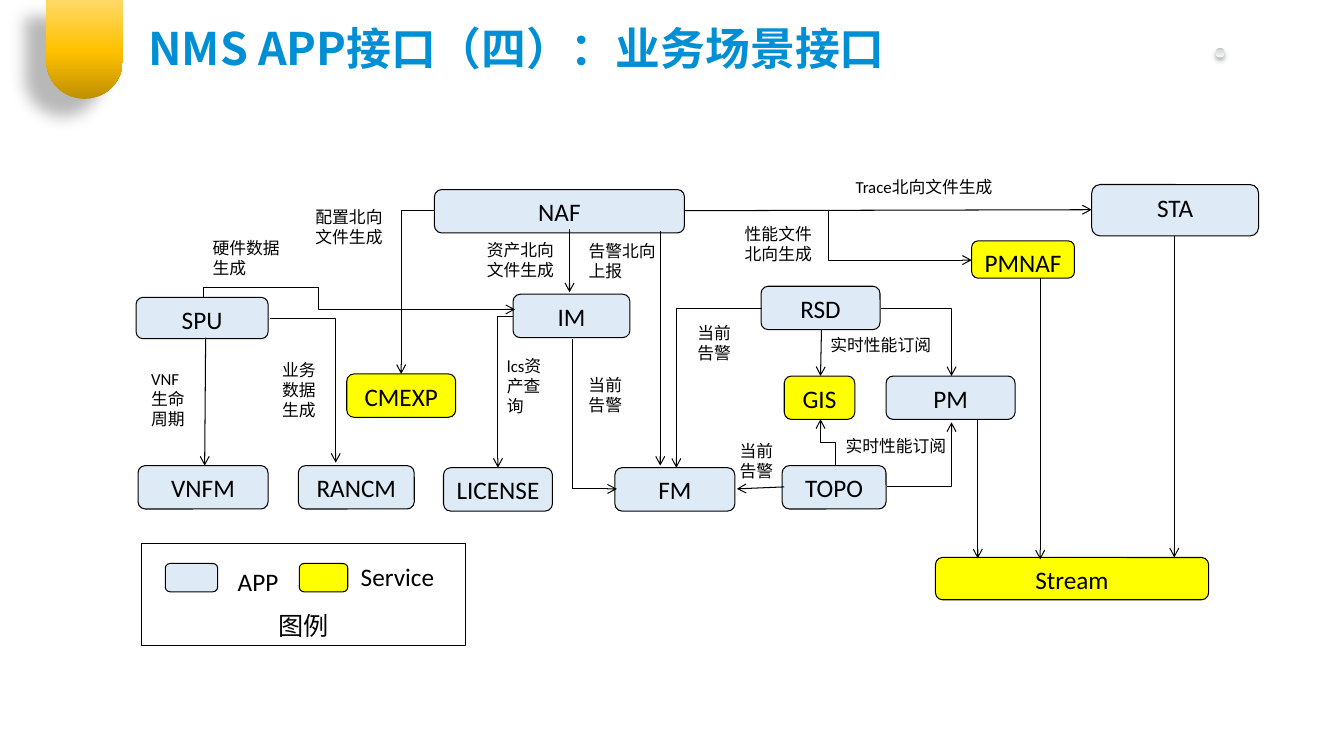
from pptx import Presentation
from pptx.dml.color import RGBColor
from pptx.enum.shapes import MSO_CONNECTOR, MSO_SHAPE
from pptx.enum.text import MSO_ANCHOR, PP_ALIGN
from pptx.oxml import parse_xml
from pptx.oxml.ns import qn
from pptx.util import Pt
from lxml import etree

COLORS = {"title": "008FD4", "ink": "000000", "paper": "FFFFFF",
          "app": "DEEBF7", "service": "FFFF00"}
TAB_STOPS = [(0, "BF9000"), (48, "FFC000"), (100, "FFD966")]
DOT_STOPS = [(0, "F7FAFD"), (83, "D9D9D9"), (100, "BFBFBF")]
LATIN, CJK = "Calibri", "Noto Sans CJK SC"
A_NS = "http://schemas.openxmlformats.org/drawingml/2006/main"

# name: left, top, width, height, kind
NODES = {
    "RSD": (447.6, 84.5, 85, 31, "app"),
    "STA": (683.8, 11.8, 119.2, 36.7, "app"),
    "FM": (343.2, 214.1, 85.7, 31, "app"),
    "IM": (270.5, 90.2, 83.5, 31, "app"),
    "RANCM": (117.1, 212.6, 82.8, 31, "app"),
    "LICENSE": (220.8, 214.1, 77.8, 31, "app"),
    "SPU": (1.2, 92.4, 94.3, 29.5, "app"),
    "TOPO": (462.7, 212.6, 74.2, 31, "app"),
    "NAF": (214.3, 15.4, 178.6, 31, "app"),
    "VNFM": (2.6, 212.6, 92.9, 31, "app"),
    "PM": (536.9, 148.6, 92.2, 31, "app"),
    "PMNAF": (598.1, 52.1, 73.4, 26.6, "service"),
    "GIS": (464.2, 148.6, 50.4, 31, "service"),
    "Stream": (572.2, 278.2, 195.1, 30.2, "service"),
    "CMEXP": (151.7, 147.1, 77.8, 31, "service"),
}
# from x, from y, to x, to y
STRAIGHT = [
    (375.6, 44.9, 375.6, 212.6), (310.8, 43.4, 310.8, 88.8),
    (50.9, 121.2, 50.2, 212.6), (392.9, 30.5, 683.8, 29.8),
    (464.2, 227.8, 430.3, 229.2), (490.8, 115.4, 490.1, 148.6),
    (647, 78.7, 647, 279.6), (602.4, 180.2, 602.4, 278.9),
    (742.8, 48.5, 742.8, 278.2),
]
# ends, preset, leaves vertically, adjustments
ELBOWS = [
    ((270.5, 106.1, 259.7, 214.1), "bentConnector2", False, ()),
    ((214.3, 30.5, 190.6, 147.1), "bentConnector2", False, ()),
    ((97, 107.5, 143.8, 210.5), "bentConnector2", False, ()),
    ((533.3, 100.3, 583.7, 148.6), "bentConnector2", False, ()),
    ((448.3, 100.3, 387.1, 214.1), "bentConnector2", False, ()),
    ((537.6, 227.8, 583.7, 181.7), "bentConnector2", False, ()),
    ((392.9, 30.5, 598.1, 65.8), "bentConnector3", False, (0.5,)),
    ((313, 121.9, 344.6, 229.2), "bentConnector2", True, ()),
    ((500.9, 212.6, 490.1, 179.5), "bentConnector3", True, (0.5,)),
    ((49.4, 92.4, 271.9, 101), "bentConnector4", True, (-0.79, 0.37)),
]
# left, top, width, line count, paragraphs
LABELS = [
    (500.9, 187.4, 93, 1, ["实时性能订阅"]),
    (395, 106.8, 44, 2, ["当前告警"]),
    (508.1, 2.4, 129, 1, ["Trace北向文件生成"]),
    (490.1, 115.4, 91, 1, ["实时性能订阅"]),
    (425.3, 191, 47, 2, ["当前告警"]),
    (4.8, 139.9, 40, 3, ["VNF生命周期"]),
    (98.4, 133.4, 42, 3, ["业务数据", "生成"]),
    (122.2, 24, 68, 2, ["配置北向", "文件生成"]),
    (259, 130.6, 40, 3, ["lcs资产查询"]),
    (317.3, 144.2, 42, 2, ["当前告警"]),
    (244.6, 47.8, 68, 2, ["资产北向", "文件生成"]),
    (317.3, 48.5, 68, 2, ["告警北向", "上报"]),
    (428.9, 36.2, 72, 2, ["性能文件北向生成"]),
    (48.7, 46.3, 68, 2, ["硬件数据", "生成"]),
]


def rgb(name):
    return RGBColor.from_string(COLORS[name])


def write(shape, lines, size, align=PP_ALIGN.LEFT, anchor=MSO_ANCHOR.TOP,
          color="ink", latin=LATIN, bold=False):
    tf = shape.text_frame
    tf.word_wrap, tf.vertical_anchor = True, anchor
    for i, line in enumerate(lines):
        p = tf.add_paragraph() if i else tf.paragraphs[0]
        p.alignment = align
        r = p.add_run()
        r.text = line
        for key, value in {"size": Pt(size), "name": latin, "bold": bold}.items():
            setattr(r.font, key, value)
        r.font.color.rgb = rgb(color)
        etree.SubElement(r.font._element, qn("a:ea"), typeface=CJK)


def add_box(shapes, preset, box, fill):
    sp = shapes.add_shape(preset, *map(Pt, box))
    sp.shadow.inherit = False
    sp.fill.solid()
    sp.fill.fore_color.rgb = rgb(fill)
    sp.line.color.rgb, sp.line.width = rgb("ink"), Pt(0.75)
    return sp


def add_text(shapes, box, lines, size):
    write(shapes.add_textbox(*map(Pt, box)), lines, size)


def add_ornament(shapes, preset, box, stops, angle, shadow):
    """Add an unlined gradient shape; shadow is alpha, blur, distance, direction."""
    sp = shapes.add_shape(preset, *map(Pt, box))
    sp.line.fill.background()
    sp.shadow.inherit = False
    sp.fill.gradient()
    spPr = sp._element.spPr
    gs = "".join(f'<a:gs pos="{pos * 1000}"><a:srgbClr val="{c}"/></a:gs>'
                 for pos, c in stops)
    spPr.replace(spPr.find(qn("a:gradFill")), parse_xml(
        f'<a:gradFill xmlns:a="{A_NS}" rotWithShape="1"><a:gsLst>{gs}</a:gsLst>'
        f'<a:lin ang="{angle * 60000}" scaled="0"/></a:gradFill>'))
    alpha, blur, dist, direction = shadow
    spPr.find(qn("a:effectLst")).append(parse_xml(
        f'<a:outerShdw xmlns:a="{A_NS}" blurRad="{Pt(blur)}" dist="{Pt(dist)}" '
        f'dir="{direction * 60000}" algn="ctr" rotWithShape="0"><a:srgbClr val="000000">'
        f'<a:alpha val="{alpha * 1000}"/></a:srgbClr></a:outerShdw>'))
    return sp


def add_arrow(shapes, ends, kind=MSO_CONNECTOR.STRAIGHT):
    c = shapes.add_connector(kind, *map(Pt, ends))
    c.line.color.rgb, c.line.width = rgb("ink"), Pt(0.75)
    etree.SubElement(c.line._get_or_add_ln(), qn("a:tailEnd"), type="arrow")
    etree.SubElement(c._element.spPr, qn("a:effectLst"))
    return c


def add_elbow(shapes, ends, preset, vertical, adjustments):
    """Add a bent arrow; one that leaves vertically is a turned horizontal one."""
    x1, y1, x2, y2 = ends
    dx, dy = x2 - x1, y2 - y1
    if vertical:
        cx, cy = (x1 + x2) / 2, (y1 + y2) / 2
        half_w = abs(dy) / 2
        half_h = -dx / 2 if dy > 0 else dx / 2
        ends = (cx - half_w, cy - half_h, cx + half_w, cy + half_h)
    c = add_arrow(shapes, ends, MSO_CONNECTOR.ELBOW)
    spPr = c._element.spPr
    if vertical:
        spPr.find(qn("a:xfrm")).set("rot", str((90 if dy > 0 else 270) * 60000))
    geom = spPr.find(qn("a:prstGeom"))
    geom.set("prst", preset)
    av = geom.find(qn("a:avLst"))
    for i, value in enumerate(adjustments, 1):
        etree.SubElement(av, qn("a:gd"), name=f"adj{i}",
                         fmla=f"val {round(value * 100000)}")


def add_header(s, left, top, width, height):
    title = s.shapes.title
    box = {"left": left + 65.6, "top": top + 6.5, "width": width - 65.6, "height": height}
    for key, value in box.items():
        setattr(title, key, Pt(value))
    write(title, ["NMS APP接口（四）：业务场景接口"], 32, anchor=MSO_ANCHOR.MIDDLE,
          color="title", latin=CJK, bold=True)
    dot = add_ornament(s.shapes, MSO_SHAPE.OVAL, (left + width, top + 34.6, 6.5, 6.5),
                       DOT_STOPS, 90, (32, 3.5, 2.2, 90))
    dot.rotation = 180
    tab = add_ornament(s.shapes, MSO_SHAPE.ROUND_2_SAME_RECTANGLE,
                       (left, top, 54.7, 70.6), TAB_STOPS, 270, (28, 11.8, 19.7, 141))
    tab.adjustments[0], tab.adjustments[1] = 0, 0.5


def add_diagram(s, left, top):
    def shift(ends):
        return [v + (top if i % 2 else left) for i, v in enumerate(ends)]

    for name, (x, y, w, h, kind) in NODES.items():
        node = add_box(s.shapes, MSO_SHAPE.ROUNDED_RECTANGLE,
                       (left + x, top + y, w, h), kind)
        write(node, [name], 18, PP_ALIGN.CENTER)
    for ends in STRAIGHT:
        add_arrow(s.shapes, shift(ends))
    for ends, *bend in ELBOWS:
        add_elbow(s.shapes, shift(ends), *bend)
    for x, y, w, count, lines in LABELS:
        add_text(s.shapes, (left + x, top + y, w, 7.2 + 14.4 * count), lines, 12)


def add_legend(s, left, top, width, height):
    shapes = s.shapes.add_group_shape().shapes
    frame = add_box(shapes, MSO_SHAPE.RECTANGLE, (left, top, width, height), "paper")
    write(frame, ["图例"], 18, PP_ALIGN.CENTER, MSO_ANCHOR.BOTTOM)
    entries = [("app", "APP", 17.3, 37.4, 61.9, 13, 51),
               ("service", "Service", 113, 34.6, 149.8, 9.4, 80)]
    for kind, text, x, w, text_x, text_y, text_w in entries:
        add_box(shapes, MSO_SHAPE.ROUNDED_RECTANGLE,
                (left + x, top + 14.4, w, 20.2), kind)
        add_text(shapes, (left + text_x, top + text_y, text_w, 28.8), [text], 18)


def main():
    prs = Presentation()
    prs.slide_width, prs.slide_height = Pt(960), Pt(540)
    s = prs.slides.add_slide(prs.slide_layouts[5])
    add_header(s, 33.1, 0, 835.2, 55.4)
    add_diagram(s, 96, 120)
    add_legend(s, 100.8, 388.1, 231.8, 72.7)
    prs.save("out.pptx")


if __name__ == "__main__":
    main()
